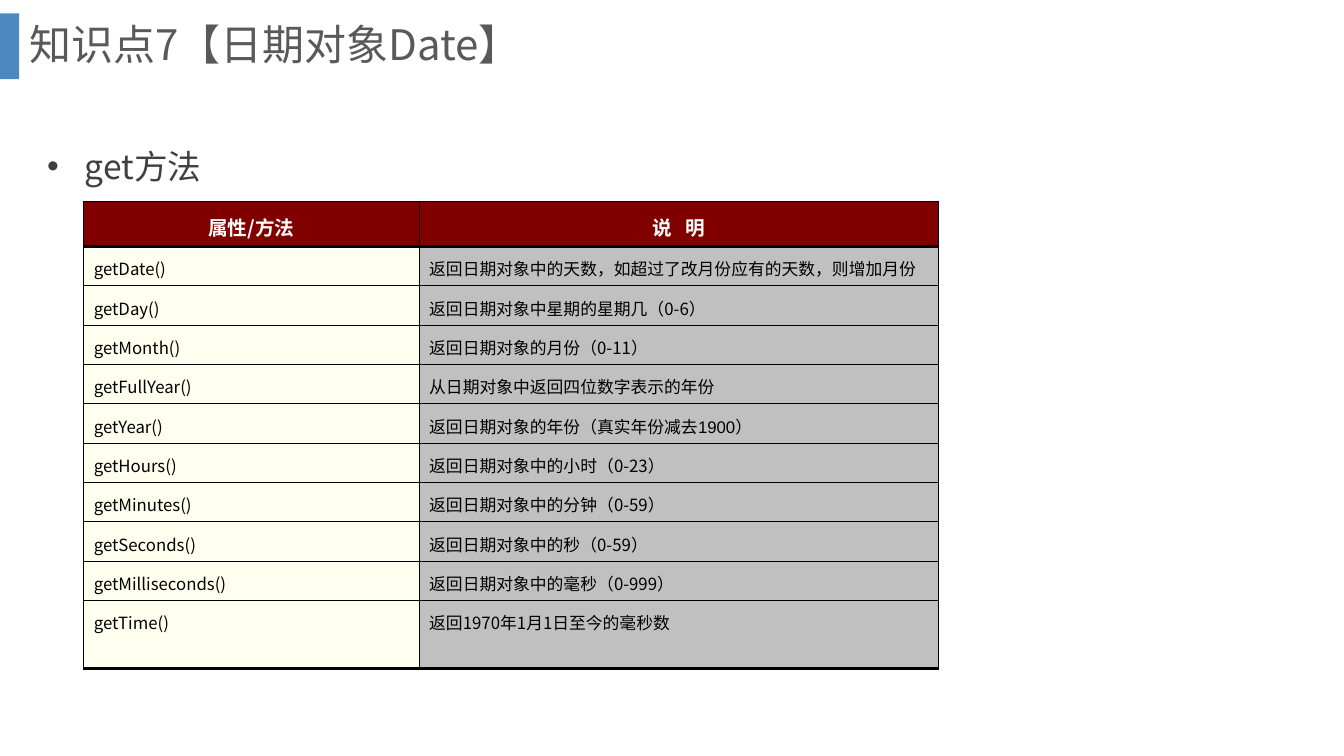
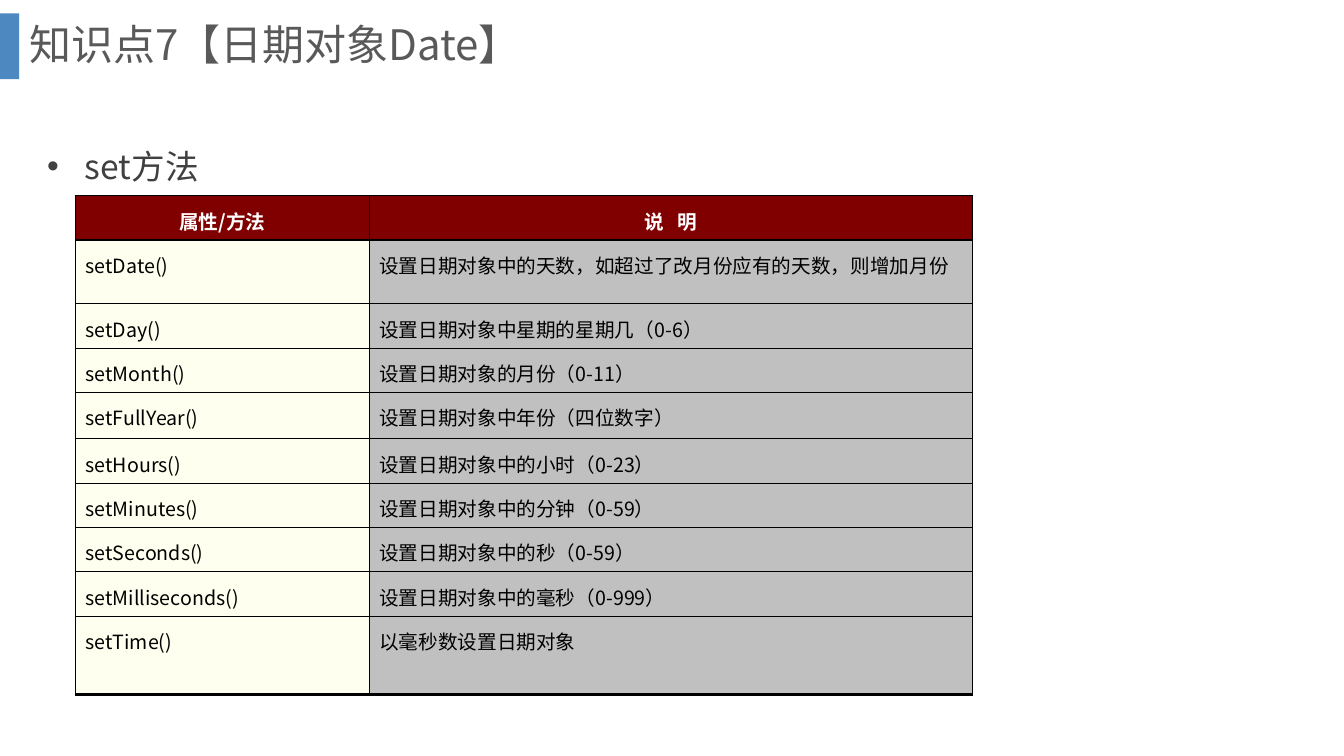
from lxml import etree
from pptx import Presentation
from pptx.dml.color import RGBColor
from pptx.enum.shapes import MSO_SHAPE
from pptx.enum.text import MSO_ANCHOR, PP_ALIGN
from pptx.oxml.ns import qn
from pptx.util import Pt

RECT = MSO_SHAPE.RECTANGLE
MIDDLE = MSO_ANCHOR.MIDDLE
LEFT, CENTER = PP_ALIGN.LEFT, PP_ALIGN.CENTER

COLORS = {
    "band": "2E75B6", "title": "595959", "heading": "404040",
    "header": "800000", "header_text": "FFFFFF",
    "method": "FFFFEF", "description": "C0C0C0", "ink": "000000",
}
FONT = "Noto Sans CJK SC"
HANGING = 27
THIN, THICK = 0.75, 2
TITLE = "知识点7【日期对象Date】"
HEADER = ("属性/方法", "说 明")

TITLE_STYLE = {"size": Pt(30), "color": "title", "line_spacing": 0.9}
HEADING_STYLE = {"size": Pt(24), "color": "heading", "line_spacing": 1.5,
                 "space_before": Pt(5)}
HEADER_STYLE = {"size": Pt(14), "color": "header_text", "bold": True,
                "line_spacing": 1.2, "alignment": CENTER}
BODY_STYLE = {"color": "ink", "bold": False, "line_spacing": 1.2, "alignment": LEFT}
PARAGRAPH_KEYS = ("line_spacing", "space_before", "alignment")

GETTERS = {
    "heading": "get方法",
    "box": (59.8, 144),
    "columns": (239.6, 370.8),
    "heights": [32] + [28.1] * 9 + [48.6],
    "size": Pt(12),
    "rows": [
        ("getDate()", "返回日期对象中的天数，如超过了改月份应有的天数，则增加月份"),
        ("getDay()", "返回日期对象中星期的星期几（0-6）"),
        ("getMonth()", "返回日期对象的月份（0-11）"),
        ("getFullYear()", "从日期对象中返回四位数字表示的年份"),
        ("getYear()", "返回日期对象的年份（真实年份减去1900）"),
        ("getHours()", "返回日期对象中的小时（0-23）"),
        ("getMinutes()", "返回日期对象中的分钟（0-59）"),
        ("getSeconds()", "返回日期对象中的秒（0-59）"),
        ("getMilliseconds()", "返回日期对象中的毫秒（0-999）"),
        ("getTime()", "返回1970年1月1日至今的毫秒数"),
    ],
    "arial_row": "getYear()",
}
SETTERS = {
    "heading": "set方法",
    "box": (54, 139.7),
    "columns": (209.7, 430.9),
    "heights": [31.8, 45.4, 31.7, 31.7, 33.1] + [31.7] * 4 + [56],
    "size": Pt(14),
    "rows": [
        ("setDate()", "设置日期对象中的天数，如超过了改月份应有的天数，则增加月份"),
        ("setDay()", "设置日期对象中星期的星期几（0-6）"),
        ("setMonth()", "设置日期对象的月份（0-11）"),
        ("setFullYear()", "设置日期对象中年份（四位数字）"),
        ("setHours()", "设置日期对象中的小时（0-23）"),
        ("setMinutes()", "设置日期对象中的分钟（0-59）"),
        ("setSeconds()", "设置日期对象中的秒（0-59）"),
        ("setMilliseconds()", "设置日期对象中的毫秒（0-999）"),
        ("setTime()", "以毫秒数设置日期对象"),
    ],
    "arial_row": None,
}


def rgb(name):
    return RGBColor.from_string(COLORS[name])


def write(frame, text, style, latin=FONT):
    paragraph = frame.paragraphs[0]
    run = paragraph.add_run()
    run.text = text
    run.font.name = latin
    for key, value in style.items():
        if key == "color":
            run.font.color.rgb = rgb(value)
        else:
            setattr(paragraph if key in PARAGRAPH_KEYS else run.font, key, value)
    east_asian = etree.SubElement(run.font._element, qn("a:ea"))
    east_asian.set("typeface", FONT)
    return paragraph


def hang(paragraph):
    properties = paragraph._p.get_or_add_pPr()
    properties.set("marL", str(Pt(HANGING)))
    properties.set("indent", str(-Pt(HANGING)))
    return properties


def add_text(slide, box, text, style):
    frame = slide.shapes.add_textbox(*map(Pt, box)).text_frame
    frame.word_wrap = True
    return frame, write(frame, text, style)


def add_title(slide, box):
    """Title text with the translucent band at its left edge."""
    left, top, width, height = box
    band = slide.shapes.add_shape(RECT, Pt(0), Pt(top + 9.6), Pt(left), Pt(47))
    band.shadow.inherit = False
    band.fill.solid()
    band.fill.fore_color.rgb = rgb("band")
    band.line.fill.background()
    color = band.fill._xPr.find(".//" + qn("a:srgbClr"))
    etree.SubElement(color, qn("a:alpha")).set("val", "85000")
    frame, _ = add_text(slide, box, TITLE, TITLE_STYLE)
    frame.vertical_anchor = MIDDLE


def add_heading(slide, box, text):
    _, paragraph = add_text(slide, box, text, HEADING_STYLE)
    properties = hang(paragraph)
    etree.SubElement(properties, qn("a:buFont")).set("typeface", "Arial")
    etree.SubElement(properties, qn("a:buChar")).set("char", "•")


def set_borders(cell, top, bottom):
    properties = cell._tc.get_or_add_tcPr()
    widths = {"lnL": THIN, "lnR": THIN, "lnT": top, "lnB": bottom}
    for position, (side, width) in enumerate(widths.items()):
        line = etree.Element(qn("a:" + side), w=str(Pt(width)))
        fill = etree.SubElement(line, qn("a:solidFill"))
        etree.SubElement(fill, qn("a:srgbClr")).set("val", COLORS["ink"])
        properties.insert(position, line)


def add_methods_table(slide, content):
    rows = [HEADER] + content["rows"]
    columns, heights = content["columns"], content["heights"]
    extent = (*content["box"], sum(columns), sum(heights))
    table = slide.shapes.add_table(len(rows), len(columns), *map(Pt, extent)).table
    for column, width in zip(table.columns, columns):
        column.width = Pt(width)
    for row, height in zip(table.rows, heights):
        row.height = Pt(height)

    body_style = {**BODY_STYLE, "size": content["size"]}
    last = len(rows) - 1
    for r, texts in enumerate(rows):
        fills = ("method", "description") if r else ("header", "header")
        for c, (text, fill) in enumerate(zip(texts, fills)):
            cell = table.cell(r, c)
            cell.fill.solid()
            cell.fill.fore_color.rgb = rgb(fill)
            set_borders(cell, THICK if r == 1 else THIN,
                        THICK if r in (0, last) else THIN)
            arial = c == 1 and texts[0] == content["arial_row"]
            paragraph = write(cell.text_frame, text,
                              body_style if r else HEADER_STYLE,
                              "Arial" if arial else FONT)
            hang(paragraph)
    wide_label = table.cell(0, 1).text_frame.paragraphs[0].runs[0]
    wide_label.font._element.set("spc", "300")


def add_methods_slide(deck, content):
    slide = deck.slides.add_slide(deck.slide_layouts[6])
    add_title(slide, (13.7, 0, 911.5, 67))
    add_heading(slide, (26.6, 86.4, 867.6, 393), content["heading"])
    add_methods_table(slide, content)


def main():
    deck = Presentation()
    deck.slide_width, deck.slide_height = Pt(960), Pt(540)
    for content in (GETTERS, SETTERS):
        add_methods_slide(deck, content)
    deck.save("out.pptx")


if __name__ == "__main__":
    main()
